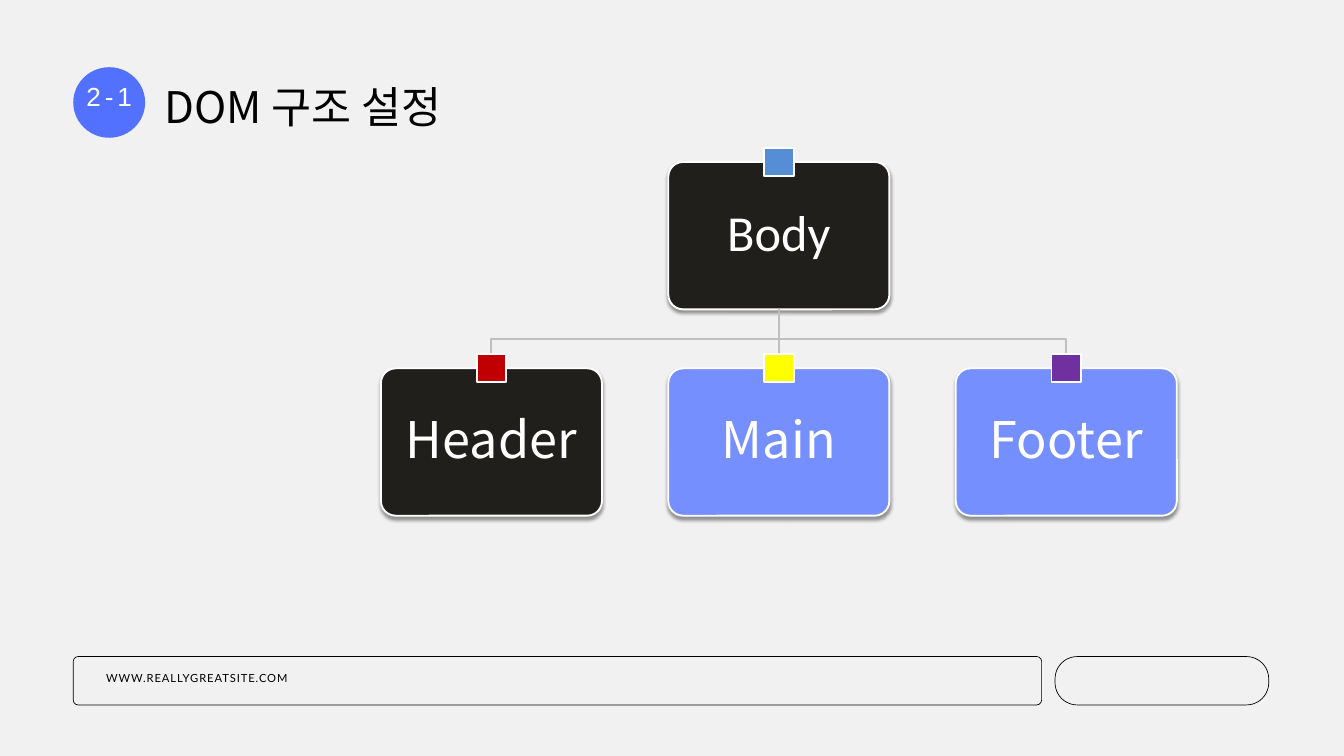
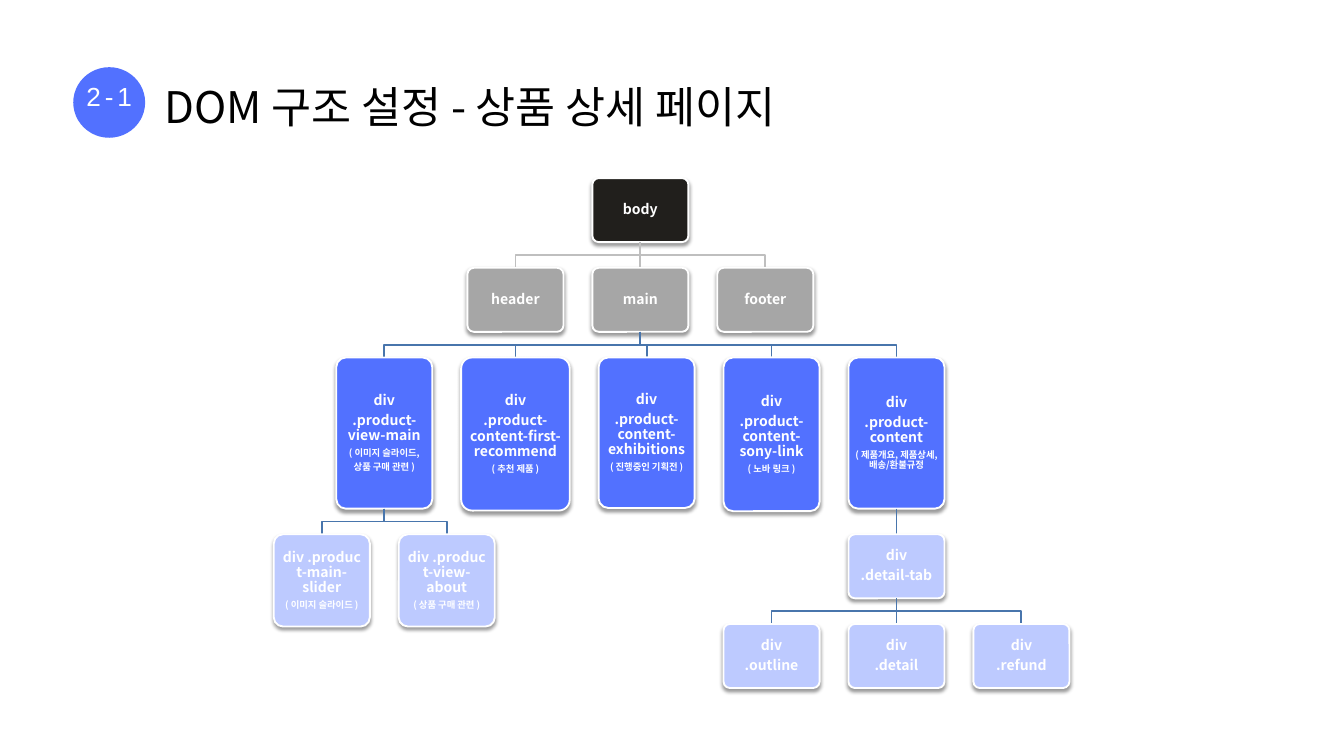
from dataclasses import dataclass

from lxml.etree import SubElement
from pptx import Presentation
from pptx.dml.color import RGBColor
from pptx.enum.shapes import MSO_CONNECTOR, MSO_SHAPE
from pptx.enum.text import MSO_ANCHOR, MSO_AUTO_SIZE, PP_ALIGN
from pptx.oxml.ns import qn
from pptx.util import Inches, Pt

# The slide is a grid of 20 columns by 11.25 rows.
COLS, ROWS = 20, 11.25
CELL = Inches(1)


@dataclass(frozen=True)
class Theme:
    gray_page: str = "F1F1F1"
    white: str = "FFFFFF"
    black: str = "000000"
    ink: str = "211F1C"
    gray: str = "A6A6A6"
    blue: str = "5271FF"
    mid_blue: str = "758FFF"
    pale_blue: str = "BDCAFF"
    gray_link: str = "BFBFBF"
    blue_link: str = "4875AC"
    font: str = "Noto Sans CJK KR"
    root_font: str = "Calibri"
    badge_font: str = "Arial"
    footer_font: str = "Lato"
    title_size: float = 46.6
    badge_size: int = 28
    footer_size: int = 12
    big_size: int = 54
    node_size: int = 15
    note_size: int = 10


T = Theme()


@dataclass
class Node:
    """A tree card; wide and tall are multiples of the tree's standard card."""
    lines: tuple
    fill: str
    children: tuple = ()
    link: str = T.blue_link
    wide: float = 1
    tall: float = 1
    font: str = T.font
    marker: str = ""


@dataclass
class TreeStyle:
    """Every measure of a tree follows from the width of its standard card."""
    card_w: float
    inset: float
    size: int
    bold: bool = False

    @property
    def card_h(self):
        return self.card_w / 1.5

    @property
    def gap(self):
        return 0.3 * self.card_w

    @property
    def drop(self):
        return 0.4 * self.card_h


def grid(*units):
    return [round(u * CELL) for u in units]


def set_all(target, values):
    for name, value in values.items():
        setattr(target, name, value)


def set_frame(tf, inset, anchor):
    set_all(tf, dict.fromkeys(
        ("margin_left", "margin_top", "margin_right", "margin_bottom"), Inches(inset)))
    set_all(tf, {"word_wrap": True, "auto_size": MSO_AUTO_SIZE.NONE, "vertical_anchor": anchor})


def write(p, text, font, size, color, bold=False, spacing=0, **paragraph):
    r = p.add_run()
    r.text = text
    set_all(p, paragraph)
    set_all(r.font, {"name": font, "size": Pt(size), "bold": bold})
    r.font.color.rgb = RGBColor.from_string(color)
    rPr = r.font._element
    SubElement(rPr, qn("a:ea")).set("typeface", font)
    if spacing:
        rPr.set("spc", str(round(spacing * 100)))


def set_line(sp, color, width):
    sp.line.color.rgb = RGBColor.from_string(color)
    sp.line.width = Pt(width)


def add_box(slide, kind, box, fill, line=None, width=2.0):
    sp = slide.shapes.add_shape(kind, *grid(*box))
    sp.shadow.inherit = False
    sp.fill.solid()
    sp.fill.fore_color.rgb = RGBColor.from_string(fill)
    if line:
        set_line(sp, line, width)
    else:
        sp.line.fill.background()
    return sp


def add_label(slide, box, text, **style):
    tf = slide.shapes.add_textbox(*grid(*box)).text_frame
    set_frame(tf, 0.04, MSO_ANCHOR.MIDDLE)
    write(tf.paragraphs[0], text, **style)
    return tf.paragraphs[0]


def add_card_shadow(sp):
    effects = sp._element.spPr.find(qn("a:effectLst"))
    shadow = SubElement(effects, qn("a:outerShdw"), blurRad=str(Pt(4)), dist=str(Pt(3)),
                        dir="5400000", algn="ctr", rotWithShape="0")
    color = SubElement(shadow, qn("a:srgbClr"), val=T.black)
    SubElement(color, qn("a:alpha"), val="40000")


def space_after_share(p, percent):
    p.space_after = Pt(0)
    after = p._p.pPr.find(qn("a:spcAft"))
    after.clear()
    SubElement(after, qn("a:spcPct"), val=str(percent * 1000))


def add_card(slide, node, style, box):
    sp = add_box(slide, MSO_SHAPE.ROUNDED_RECTANGLE, box, node.fill, T.white)
    sp.adjustments[0] = 0.1
    add_card_shadow(sp)
    tf = sp.text_frame
    set_frame(tf, style.inset, MSO_ANCHOR.MIDDLE)
    for i, text in enumerate(node.lines):
        p = tf.add_paragraph() if i else tf.paragraphs[0]
        size = T.note_size if i and not text.startswith(".") else style.size
        write(p, text, node.font, size, T.white, style.bold,
              alignment=PP_ALIGN.CENTER, line_spacing=0.9)
        space_after_share(p, 35)


def add_link(slide, x1, y1, x2, y2, color):
    """Straight line to a child right below, bent line to any other."""
    if abs(x1 - x2) < 0.02:
        sp = slide.shapes.add_connector(MSO_CONNECTOR.STRAIGHT, *grid(x1, y1, x1, y2))
        SubElement(sp._element.spPr, qn("a:effectLst"))
    else:
        mid = (y1 + y2) / 2
        builder = slide.shapes.build_freeform(*grid(x1, y1))
        builder.add_line_segments([grid(*pt) for pt in ((x1, mid), (x2, mid), (x2, y2))],
                                  close=False)
        sp = builder.convert_to_shape()
        sp.shadow.inherit = False
        sp.fill.background()
    set_line(sp, color, 2)


def add_tree(slide, node, style, center, top):
    """Draws a node, then its children in a row centred below it."""
    w, h = node.wide * style.card_w, node.tall * style.card_h
    add_card(slide, node, style, (center - w / 2, top, w, h))
    if node.marker:
        mw, mh = 0.44, 0.42
        add_box(slide, MSO_SHAPE.RECTANGLE, (center - mw / 2, top - mh / 2, mw, mh),
                node.marker, T.white)

    widths = [child.wide * style.card_w for child in node.children]
    left = center - (sum(widths) + style.gap * (len(widths) - 1)) / 2
    bottom, child_top = top + h, top + h + style.drop
    for child, child_w in zip(node.children, widths):
        x = left + child_w / 2
        add_link(slide, center, bottom, x, child_top, node.link)
        add_tree(slide, child, style, x, child_top)
        left += child_w + style.gap


def add_heading(slide, number, title, left=1.09, top=1):
    w, h = 1.07, 1.05
    add_box(slide, MSO_SHAPE.OVAL, (left, top, w, h), T.blue)
    add_label(slide, (left, top - 0.29, w, h + 0.28), number, font=T.badge_font,
              size=T.badge_size, color=T.white, spacing=4.1,
              alignment=PP_ALIGN.CENTER, line_spacing=Pt(41.1))
    sp = slide.shapes.title
    set_all(sp, dict(zip(("left", "top", "width", "height"),
                         grid(left + 1.36, top + 0.01, 10.8, 0.9))))
    set_frame(sp.text_frame, 0, MSO_ANCHOR.TOP)
    write(sp.text_frame.paragraphs[0], title, T.font, T.title_size, T.black,
          alignment=PP_ALIGN.LEFT, line_spacing=Pt(68.5))


def add_footer(slide, text, left=1.09, top=9.77):
    w, h = 14.41, 0.72
    for x, width, corner in ((left, w, 0.1), (left + w + 0.2, 3.18, 0.46)):
        sp = add_box(slide, MSO_SHAPE.ROUNDED_RECTANGLE, (x, top, width, h),
                     T.gray_page, T.black, 0.75)
        sp.adjustments[0] = corner
    p = add_label(slide, (left, top - 0.13, w, h + 0.13), text, font=T.footer_font,
                  size=T.footer_size, color=T.black, spacing=1, line_spacing=Pt(17.6))
    p._p.get_or_add_pPr().set("marL", str(Inches(0.45)))


def add_tree_slide(prs, page, title, root, style, center, top):
    slide = prs.slides.add_slide(prs.slide_layouts[5])
    slide.background.fill.solid()
    slide.background.fill.fore_color.rgb = RGBColor.from_string(page)
    add_heading(slide, "2-1", title)
    add_tree(slide, root, style, center, top)
    return slide


def page_tree():
    return Node(("Body",), T.ink, link=T.gray_link, font=T.root_font, marker="558ED5", children=(
        Node(("Header",), T.ink, marker="C00000"),
        Node(("Main",), T.mid_blue, marker="FFFF00"),
        Node(("Footer",), T.mid_blue, marker="7030A0")))


def product_tree():
    view_parts = tuple(
        Node((f"div .product-{name}", note), T.pale_blue, tall=1.44)
        for name, note in (("main-slider", "( 이미지 슬라이드 )"),
                           ("view-about", "( 상품 구매 관련 )")))
    tabs = tuple(Node(("div", name), T.pale_blue) for name in (".outline", ".detail", ".refund"))
    detail_tab = Node(("div", ".detail-tab"), T.pale_blue, tabs)
    sections = (
        (".product-view-main", ("( 이미지 슬라이드,", "상품 구매 관련 )"), view_parts, 1, 2.36),
        (".product-content-first-recommend", ("( 추천 제품 )",), (), 1.13, 2.39),
        (".product-content-exhibitions", ("( 진행중인 기획전 )",), (), 1, 2.35),
        (".product-content-sony-link", ("( 노바 링크 )",), (), 1, 2.4),
        (".product-content", ("( 제품개요, 제품상세, 배송/환불규정",), (detail_tab,), 1, 2.36))
    main = Node(("main",), T.gray, tuple(
        Node(("div", name, *notes), T.blue, children, wide=wide, tall=tall)
        for name, notes, children, wide, tall in sections))
    return Node(("body",), T.ink, link=T.gray_link, children=(
        Node(("header",), T.gray), main, Node(("footer",), T.gray)))


def main():
    prs = Presentation()
    prs.slide_width, prs.slide_height = grid(COLS, ROWS)
    slide = add_tree_slide(prs, T.gray_page, "DOM 구조 설정", page_tree(),
                           TreeStyle(3.29, 0.23, T.big_size), 11.59, 2.41)
    add_footer(slide, "WWW.REALLYGREATSITE.COM")
    add_tree_slide(prs, T.white, "DOM 구조 설정 - 상품 상세 페이지", product_tree(),
                   TreeStyle(1.43, 0.06, T.node_size, True), 9.53, 2.65)
    prs.save("out.pptx")


if __name__ == "__main__":
    main()
